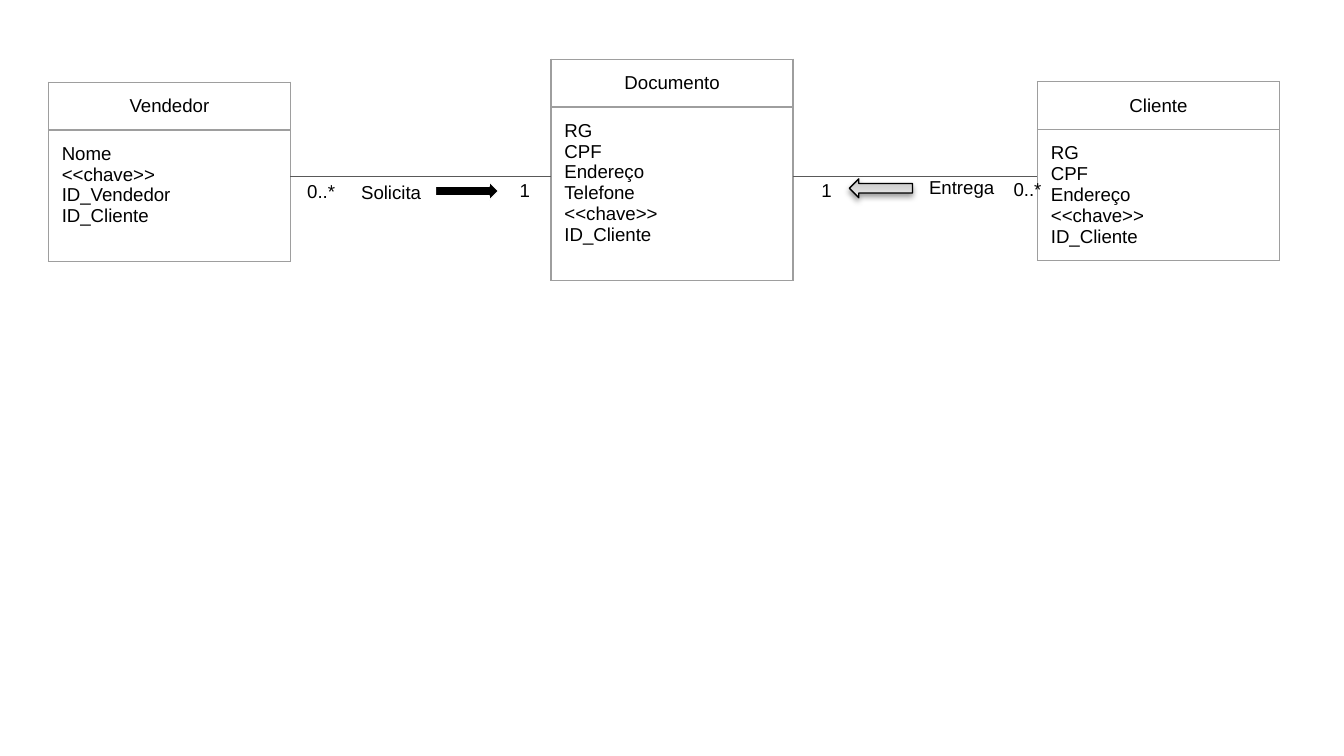
from dataclasses import dataclass

from lxml import etree
from pptx import Presentation
from pptx.dml.color import RGBColor
from pptx.enum.shapes import MSO_CONNECTOR, MSO_SHAPE
from pptx.enum.text import MSO_ANCHOR, PP_ALIGN
from pptx.oxml import parse_xml
from pptx.oxml.ns import nsdecls, qn
from pptx.util import Pt

LEFT, CENTER = PP_ALIGN.LEFT, PP_ALIGN.CENTER
MIDDLE = MSO_ANCHOR.MIDDLE
STRAIGHT = MSO_CONNECTOR.STRAIGHT
RIGHT_ARROW = MSO_SHAPE.RIGHT_ARROW


@dataclass(frozen=True)
class Theme:
    font: str = "Arial"
    size: float = 10
    text: str = "000000"
    border: str = "9E9E9E"
    link: str = "595959"
    white: str = "FFFFFF"
    black: str = "000000"
    gradient: tuple = ((0, "BDBDBD"), (35, "D1D1D1"), (100, "EEEEEE"))
    line_width: float = 0.75
    inset: float = 7.2


THEME = Theme()
CLASS_WIDTH, HEADER_HEIGHT = 129.6, 25.5


def write_text(frame, lines, align=LEFT, size=THEME.size, color=THEME.text):
    for index, line in enumerate(lines):
        paragraph = frame.paragraphs[0] if index == 0 else frame.add_paragraph()
        paragraph.alignment = align
        run = paragraph.add_run()
        run.text = line
        run.font.name = THEME.font
        run.font.size = Pt(size)
        run.font.color.rgb = RGBColor.from_string(color)


def set_insets(target):
    target.margin_left = target.margin_right = Pt(THEME.inset)
    target.margin_top = target.margin_bottom = Pt(THEME.inset)


def outline_cell(cell):
    cell.fill.background()
    properties = cell._tc.get_or_add_tcPr()
    for index, side in enumerate("LRTB"):
        properties.insert(index, parse_xml(
            f'<a:ln{side} {nsdecls("a")} w="{Pt(THEME.line_width)}"><a:solidFill>'
            f'<a:srgbClr val="{THEME.border}"/></a:solidFill></a:ln{side}>'))


def add_class(slide, box, name, attributes):
    """Draw a class as a name row above an attribute row."""
    left, top, width, height = box
    table = slide.shapes.add_table(
        2, 1, Pt(left), Pt(top), Pt(width), Pt(height)).table
    table.first_row = table.horz_banding = False
    table.columns[0].width = Pt(width)
    rows = ((HEADER_HEIGHT, [name], CENTER),
            (height - HEADER_HEIGHT, attributes, LEFT))
    for index, (row_height, lines, align) in enumerate(rows):
        table.rows[index].height = Pt(row_height)
        cell = table.cell(index, 0)
        set_insets(cell)
        outline_cell(cell)
        write_text(cell.text_frame, lines, align)


def add_label(slide, box, text):
    label = slide.shapes.add_textbox(*(Pt(length) for length in box))
    frame = label.text_frame
    frame.word_wrap = True
    frame.vertical_anchor = MIDDLE
    set_insets(frame)
    write_text(frame, [text], CENTER)


def add_link(slide, left, top, width):
    link = slide.shapes.add_connector(
        STRAIGHT, Pt(left), Pt(top), Pt(left + width), Pt(top))
    link.line.color.rgb = RGBColor.from_string(THEME.link)
    link.line.width = Pt(THEME.line_width)
    etree.SubElement(link._element.spPr, qn("a:effectLst"))


def add_arrow(slide, box, line):
    arrow = slide.shapes.add_shape(RIGHT_ARROW, *(Pt(length) for length in box))
    arrow.shadow.inherit = False
    arrow.line.color.rgb = RGBColor.from_string(line)
    arrow.line.width = Pt(THEME.line_width)
    return arrow


def add_forward_arrow(slide, box):
    arrow = add_arrow(slide, box, THEME.white)
    arrow.fill.solid()
    arrow.fill.fore_color.rgb = RGBColor.from_string(THEME.black)


def add_backward_arrow(slide, box):
    """Draw a left-pointing arrow with a grey gradient and a soft shadow."""
    arrow = add_arrow(slide, box, THEME.black)
    arrow.rotation = 180
    stops = "".join(
        f'<a:gs pos="{position * 1000}"><a:srgbClr val="{color}"/></a:gs>'
        for position, color in THEME.gradient)
    properties = arrow._element.spPr
    properties.find(qn("a:prstGeom")).addnext(parse_xml(
        f'<a:gradFill {nsdecls("a")} rotWithShape="1"><a:gsLst>{stops}</a:gsLst>'
        '<a:lin ang="16200000" scaled="0"/></a:gradFill>'))
    properties.find(qn("a:effectLst")).append(parse_xml(
        f'<a:outerShdw {nsdecls("a")} blurRad="{Pt(3.1)}" dist="{Pt(1.6)}" '
        f'dir="5400000" rotWithShape="0"><a:srgbClr val="{THEME.black}">'
        '<a:alpha val="38000"/></a:srgbClr></a:outerShdw>'))


def add_association(slide, box, labels, arrow, draw_arrow):
    """Draw a link along the top of the box, with labels and an arrow below."""
    left, top, width = box
    add_link(slide, left, top, width)
    for text, (x, y, label_width, label_height) in labels:
        add_label(slide, (left + x, top + y, label_width, label_height), text)
    x, y, arrow_width, arrow_height = arrow
    draw_arrow(slide, (left + x, top + y, arrow_width, arrow_height))


def build_class_diagram(slide, left, top):
    document_x, client_x = 269.3, 529.9
    classes = (
        ("Documento", document_x, 0, 118.3,
         ["RG", "CPF", "Endereço", "Telefone", "<<chave>>", "ID_Cliente"]),
        ("Cliente", client_x, 12.1, 95.8,
         ["RG", "CPF", "Endereço", "<<chave>>", "ID_Cliente"]),
        ("Vendedor", 0, 12.3, 95.8,
         ["Nome", "<<chave>>", "ID_Vendedor", "ID_Cliente"]),
    )
    for name, x, y, height, attributes in classes:
        add_class(slide, (left + x, top + y, CLASS_WIDTH, height), name, attributes)

    link_top = top + 62.7
    add_association(
        slide, (left + CLASS_WIDTH, link_top, document_x - CLASS_WIDTH),
        (("0..*", (0, 0.2, 33.1, 15.8)),
         ("Solicita", (23.8, 1.4, 60.5, 13.7)),
         ("1", (108, -0.5, 35.3, 15.8))),
        (77.8, 2.9, 33.8, 10.1), add_forward_arrow)
    right_start = document_x + CLASS_WIDTH
    add_association(
        slide, (left + right_start, link_top, client_x - right_start),
        (("1", (-0.7, -0.5, 37.4, 15.8)),
         ("Entrega", (64.1, 0.9, 52.6, 10.1)),
         ("0..*", (107.3, -0.5, 36.7, 15.1))),
        (30.2, 1.4, 33.8, 10.1), add_backward_arrow)


def main():
    presentation = Presentation()
    presentation.slide_width, presentation.slide_height = Pt(720), Pt(405)
    slide = presentation.slides.add_slide(presentation.slide_layouts[6])
    build_class_diagram(slide, 25.9, 31.7)
    presentation.save("out.pptx")


if __name__ == "__main__":
    main()
